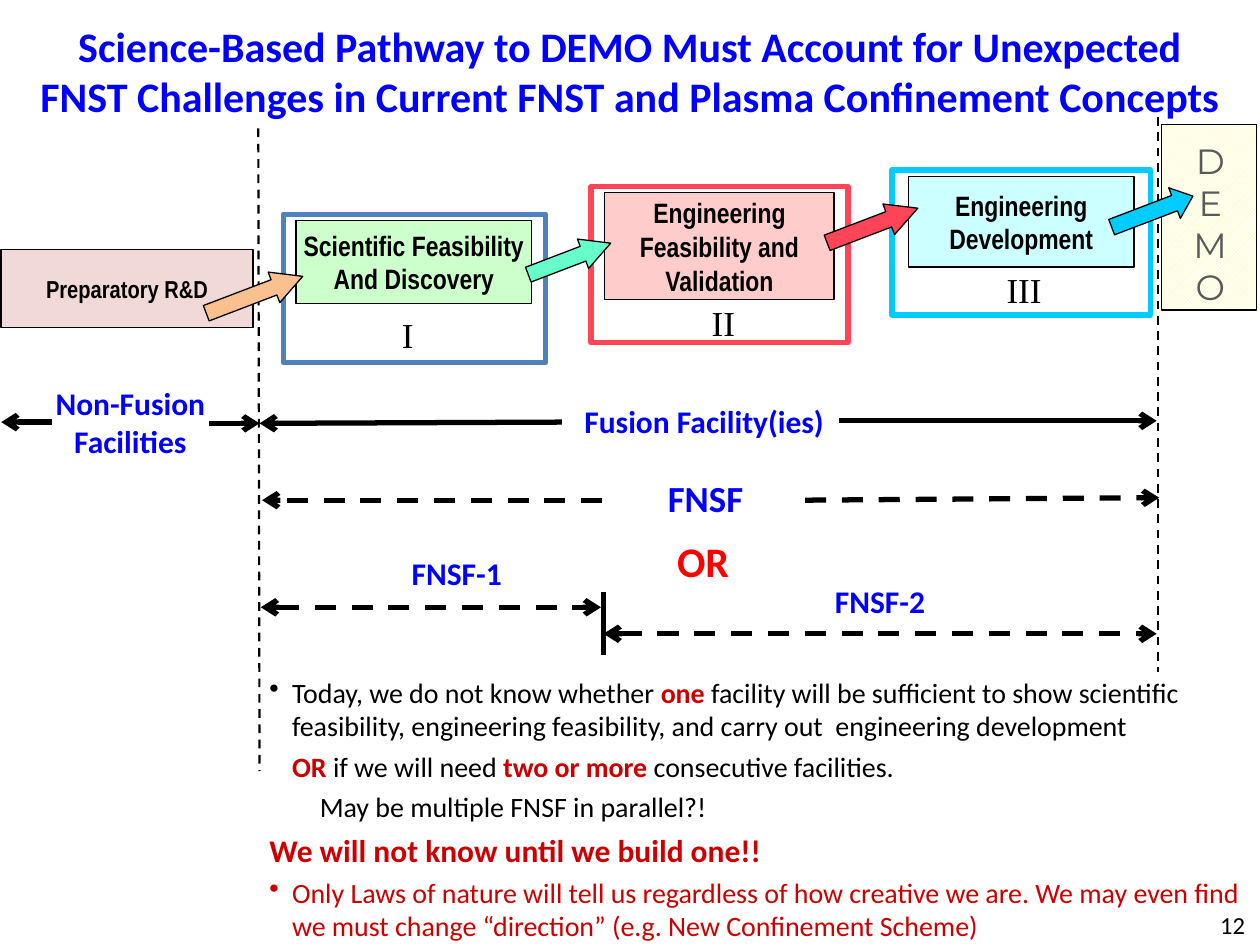
from dataclasses import dataclass

from lxml import etree
from pptx import Presentation
from pptx.dml.color import RGBColor
from pptx.enum.dml import MSO_LINE, MSO_PATTERN
from pptx.enum.shapes import MSO_CONNECTOR, MSO_SHAPE
from pptx.enum.text import MSO_ANCHOR, PP_ALIGN
from pptx.oxml.ns import qn
from pptx.util import Emu, Inches, Pt

LEFT, MID, RIGHT = PP_ALIGN.LEFT, PP_ALIGN.CENTER, PP_ALIGN.RIGHT
TOP, CENTER = MSO_ANCHOR.TOP, MSO_ANCHOR.MIDDLE
RECT, ARROW = MSO_SHAPE.RECTANGLE, MSO_SHAPE.RIGHT_ARROW
DASH, STRAIGHT = MSO_LINE.DASH, MSO_CONNECTOR.STRAIGHT
HATCH = MSO_PATTERN.DARK_UPWARD_DIAGONAL
COLS, ROWS = 100, 75
WIDTH, HEIGHT = Inches(10), Inches(7.5)


@dataclass(frozen=True)
class Theme:
    black: str = "000000"
    white: str = "FFFFFF"
    blue: str = "0000FF"
    red: str = "CC0000"
    alert: str = "FF0000"
    gray: str = "595959"
    rose: str = "E6B9B8"
    yellow: str = "FFFF66"
    body: str = "Calibri"
    narrow: str = "Arial Narrow"
    serif: str = "Times New Roman"
    demo: str = "Montserrat"
    title: float = 24
    big: float = 21
    roman: float = 20
    label: float = 18
    text: float = 16
    small: float = 14
    thin: float = 0.75
    guide: float = 1.25
    thick: float = 3


T = Theme()


@dataclass(frozen=True)
class Area:
    """Place on the grid, in columns and rows."""
    x: float
    y: float
    w: float
    h: float

    def emu(self) -> tuple[Emu, ...]:
        return col(self.x), row(self.y), col(self.w), row(self.h)


@dataclass(frozen=True)
class Stage:
    frame: Area
    edge: str
    box: Area
    fill: str
    text: str
    roman: str
    spot: Area


@dataclass(frozen=True)
class Step:
    area: Area
    head: float
    fill: str


@dataclass(frozen=True)
class Label:
    text: str
    area: Area
    size: float = T.label
    color: str = T.blue


@dataclass(frozen=True)
class Span:
    start: tuple[float, float]
    end: tuple[float, float]
    dash: bool = False
    width: float = T.thick
    head: bool = False
    tail: bool = True


@dataclass(frozen=True)
class Note:
    text: str
    indent: float = 0.18
    bullet: bool = False
    size: float = T.text
    color: str = T.black
    bold: bool = False


def col(n: float) -> Emu:
    return Emu(round(WIDTH * n / COLS))


def row(n: float) -> Emu:
    return Emu(round(HEIGHT * n / ROWS))


def rgb(code: str) -> RGBColor:
    return RGBColor.from_string(code)


def write(para, text: str, *, font: str = T.body, size: float = T.label,
          color: str = T.black, bold: bool = False, align=LEFT) -> None:
    """Add text to a paragraph; parts between bars are bold and red."""
    para.alignment = align
    for i, part in enumerate(text.split("|")):
        if part:
            run = para.add_run()
            run.text = part
            face, accent = run.font, i % 2 == 1
            face.name, face.size, face.bold = font, Pt(size), bold or accent
            face.color.rgb = rgb(T.red if accent else color)


def lines(frame, text: str, anchor=TOP, **style) -> None:
    frame.word_wrap, frame.vertical_anchor = True, anchor
    for i, line in enumerate(text.split("\n")):
        write(frame.add_paragraph() if i else frame.paragraphs[0], line, **style)


def label(slide, area: Area, text: str, **style) -> None:
    lines(slide.shapes.add_textbox(*area.emu()).text_frame, text, **style)


def shape(slide, kind, area: Area, fill: str, edge: str = T.black,
          width: float = T.thin):
    item = slide.shapes.add_shape(kind, *area.emu())
    item.shadow.inherit = False
    item.fill.solid()
    item.fill.fore_color.rgb = rgb(fill)
    item.line.color.rgb, item.line.width = rgb(edge), Pt(width)
    return item


def caption(box, text: str, size: float) -> None:
    frame = box.text_frame
    frame.margin_left = frame.margin_right = 0
    frame.margin_top = frame.margin_bottom = 0
    lines(frame, text, CENTER, font=T.narrow, size=size, bold=True, align=MID)


def span(slide, s: Span) -> None:
    item = slide.shapes.add_connector(
        STRAIGHT, col(s.start[0]), row(s.start[1]), col(s.end[0]), row(s.end[1]))
    item.line.color.rgb, item.line.width = rgb(T.black), Pt(s.width)
    if s.dash:
        item.line.dash_style = DASH
    props = item.line._get_or_add_ln()
    for tag, shown in (("a:headEnd", s.head), ("a:tailEnd", s.tail)):
        if shown:
            etree.SubElement(props, qn(tag), type="arrow")
    etree.SubElement(item._element.spPr, qn("a:effectLst"))


def stage(slide, s: Stage) -> None:
    shape(slide, RECT, s.frame, T.white, s.edge, T.thick)
    caption(shape(slide, RECT, s.box, s.fill), s.text, T.text)
    label(slide, s.spot, s.roman, font=T.serif, size=T.roman)


def step(slide, s: Step) -> None:
    item = shape(slide, ARROW, s.area, s.fill)
    item.adjustments[1] = s.head
    item.rotation = 339.1


def note(frame, n: Note, first: bool) -> None:
    para = frame.paragraphs[0] if first else frame.add_paragraph()
    para.space_before = Pt(0 if first else 4)
    props = para._p.get_or_add_pPr()
    props.set("marL", str(Inches(n.indent)))
    props.set("indent", str(-Inches(n.indent) if n.bullet else 0))
    if n.bullet:
        etree.SubElement(props, qn("a:buChar"), char="•")
    write(para, n.text, size=n.size, color=n.color, bold=n.bold)


STAGES = [
    Stage(Area(22.5, 17, 20.8, 11.8), "4F81BD", Area(23.5, 17.5, 18.7, 6.6), "CCFFCC",
          "Scientific Feasibility\nAnd Discovery", "I", Area(30.9, 24.4, 3.5, 4.4)),
    Stage(Area(46.9, 14.8, 20.4, 12.4), "FF4557", Area(48, 15.3, 18.2, 8.5), "FFCCCC",
          "Engineering\nFeasibility and\nValidation", "II", Area(55.5, 23.4, 4.2, 4.4)),
    Stage(Area(70.8, 13.5, 20.5, 11.5), "00CCFF", Area(72.1, 14, 17.9, 7.2), "CCFFFF",
          "Engineering\nDevelopment", "III", Area(78.9, 20.8, 5.4, 4.4)),
]
STEPS = [
    Step(Area(16.1, 22.1, 8.2, 2.6), 0.94, "FAC090"),
    Step(Area(41.7, 19.3, 7, 2.5), 0.94, "66FFCC"),
    Step(Area(65.4, 16.6, 7.7, 2.6), 0.95, "FF4557"),
    Step(Area(88, 15.5, 6.9, 2.6), 0.6, "00CCFF"),
]
GUIDES = [
    Span((20.5, 10.2), (20.6, 61.2), True, T.guide, tail=False),
    Span((91.9, 9.3), (91.9, 53.3), True, T.guide, tail=False),
]
SPANS = [
    Span((16.6, 33.6), (20.6, 33.6)),
    Span((4.1, 33.5), (0.1, 33.5)),
    Span((66.6, 33.4), (91.8, 33.4)),
    Span((44.6, 33.5), (20.6, 33.6)),
    Span((63.9, 39.7), (92, 39.5), True),
    Span((47.8, 39.7), (20.8, 39.7), True),
    Span((20.7, 48.2), (47.7, 48.2), True, head=True),
    Span((47.9, 50.3), (91.8, 50.3), True, head=True),
    Span((47.9, 47), (47.9, 52), tail=False),
]
LABELS = [
    Label("Science-Based Pathway to DEMO Must Account for Unexpected\n"
          "FNST Challenges in Current FNST and Plasma Confinement Concepts",
          Area(0, 1.1, 100, 9.1), T.title),
    Label("Non-Fusion Facilities", Area(3.1, 30, 14.5, 7.1)),
    Label("Fusion Facility(ies)", Area(45.2, 31.4, 21.4, 4)),
    Label("FNSF", Area(45.3, 37.3, 21.4, 4.7), T.big),
    Label("OR", Area(52.3, 42, 7, 5), T.title, T.alert),
    Label("FNSF-1", Area(31.4, 43.5, 9.7, 4)),
    Label("FNSF-2", Area(65, 45.7, 9.7, 4)),
]
NOTES = [
    Note("Today, we do not know whether |one| facility will be sufficient to show "
         "scientific feasibility, engineering feasibility, and carry out  "
         "engineering development", bullet=True),
    Note("|OR| if we will need |two or more| consecutive facilities."),
    Note("May be multiple FNSF in parallel?!", 0.4),
    Note("We will not know until we build one!!", 0, False, T.label, T.red, True),
    Note("Only Laws of nature will tell us regardless of how creative we are. We may "
         "even find we must change “direction” (e.g. New Confinement Scheme)",
         bullet=True, color=T.red),
]


def main() -> None:
    deck = Presentation()
    deck.slide_width, deck.slide_height = WIDTH, HEIGHT
    slide = deck.slides.add_slide(deck.slide_layouts[6])

    # Phase limits and the two end points of the pathway
    for item in GUIDES:
        span(slide, item)
    demo = shape(slide, RECT, Area(92.2, 9.9, 7.5, 14.7), T.white)
    demo.fill.patterned()
    demo.fill.pattern = HATCH
    demo.fill.fore_color.rgb, demo.fill.back_color.rgb = rgb(T.yellow), rgb(T.white)
    label(slide, Area(93.3, 10.6, 5.5, 14.5), "D E M O", font=T.demo,
          size=T.roman, color=T.gray, align=MID)
    prep = shape(slide, RECT, Area(0.1, 19.8, 20, 6.2), T.rose, width=1)
    tint = prep._element.spPr.find(qn("a:solidFill"))[0]
    etree.SubElement(tint, qn("a:alpha"), val="54000")
    caption(prep, "Preparatory R&D", T.small)

    # Stages and the arrows between them
    for item in STAGES:
        stage(slide, item)
    for item in STEPS:
        step(slide, item)

    # Facility time spans and labels
    for item in SPANS:
        span(slide, item)
    for item in LABELS:
        label(slide, item.area, item.text, size=item.size, color=item.color,
              bold=True, align=MID)

    # Remarks and page number
    frame = slide.shapes.add_textbox(*Area(20.4, 53.1, 79.6, 22.4).emu()).text_frame
    frame.word_wrap = True
    for i, item in enumerate(NOTES):
        note(frame, item, i == 0)
    label(slide, Area(76.5, 71.4, 23.3, 4), "12", anchor=CENTER, size=T.small,
          align=RIGHT)
    deck.save("out.pptx")


if __name__ == "__main__":
    main()
